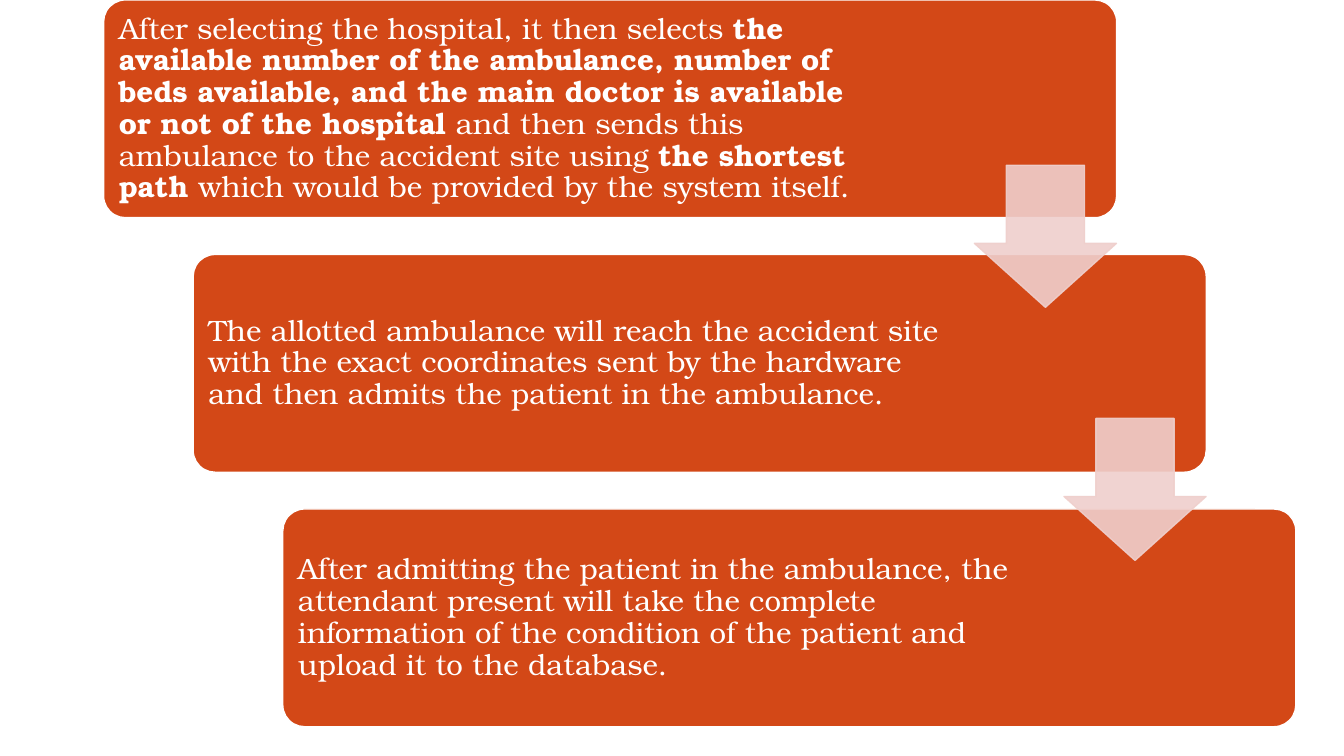
from lxml.etree import SubElement
from pptx import Presentation
from pptx.dml.color import RGBColor
from pptx.enum.shapes import MSO_SHAPE
from pptx.enum.text import MSO_ANCHOR, PP_ALIGN
from pptx.oxml.ns import qn
from pptx.util import Pt

FONT = "TeX Gyre Bonum"
ORANGE, PINK, WHITE = "D34817", "EFCFCC", "FFFFFF"
STEP_X, STEP_Y = 64, 181.8

# Each step: text width, then runs of (text, bold)
STEPS = [
    (555, [
        ("After selecting the hospital, it then selects ", False),
        ("the available number of the ambulance, number of beds available, "
         "and the main doctor is available or not of the hospital ", True),
        ("and then sends this ambulance to the accident site using ", False),
        ("the shortest path ", True),
        ("which would be provided by the system itself.", False),
    ]),
    (549, [
        ("The allotted ambulance will reach the accident site with the exact "
         "coordinates sent by the hardware and then admits the patient in "
         "the ambulance.", False),
    ]),
    (549, [
        ("After admitting the patient in the ambulance, the attendant present "
         "will take the complete information of the condition of the patient "
         "and upload it to the database.", False),
    ]),
]


def paint(color, value):
    color.rgb = RGBColor.from_string(value)


def add_form(slide, kind, box, adjust, fill, line):
    form = slide.shapes.add_shape(kind, *map(Pt, box))
    form.shadow.inherit = False
    for i, value in enumerate(adjust):
        form.adjustments[i] = value
    form.fill.solid()
    paint(form.fill.fore_color, fill)
    form.line.fill.solid()
    paint(form.line.color, line)
    form.line.width = Pt(1)
    return form


def fade(form, percent):
    """Set the opacity of fill and outline."""
    for tone in form.element.spPr.iter(qn("a:srgbClr")):
        SubElement(tone, qn("a:alpha"), val=str(percent * 1000))


def add_text(slide, box, runs):
    frame = slide.shapes.add_textbox(*map(Pt, box)).text_frame
    frame.word_wrap = True
    frame.vertical_anchor = MSO_ANCHOR.MIDDLE
    frame.margin_left = frame.margin_right = Pt(6.3)
    frame.margin_top = frame.margin_bottom = Pt(6.3)
    para = frame.paragraphs[0]
    para.alignment = PP_ALIGN.LEFT
    para.line_spacing = 0.9
    for text, bold in runs:
        run = para.add_run()
        run.text = text
        run.font.name = FONT
        run.font.size = Pt(21)
        run.font.bold = bold
        paint(run.font.color, WHITE)


def add_step(slide, index, width, runs):
    left, top = 74 + index * STEP_X, index * STEP_Y
    add_form(slide, MSO_SHAPE.ROUNDED_RECTANGLE, (left, top, 723.6, 155.5),
             [0.1], ORANGE, WHITE)
    add_text(slide, (left + 4.6, top + 4.6, width, 146.5), runs)


def add_arrow(slide, index):
    box = (696 + index * STEP_X, 118 + index * 180.8, 101.5, 101.5)
    arrow = add_form(slide, MSO_SHAPE.DOWN_ARROW, box, [0.55, 0.45], PINK, PINK)
    fade(arrow, 90)


def main():
    deck = Presentation()
    deck.slide_width, deck.slide_height = Pt(960), Pt(540)
    slide = deck.slides.add_slide(deck.slide_layouts[6])
    for index, (width, runs) in enumerate(STEPS):
        add_step(slide, index, width, runs)
    for index in range(len(STEPS) - 1):
        add_arrow(slide, index)
    deck.save("out.pptx")


if __name__ == "__main__":
    main()
